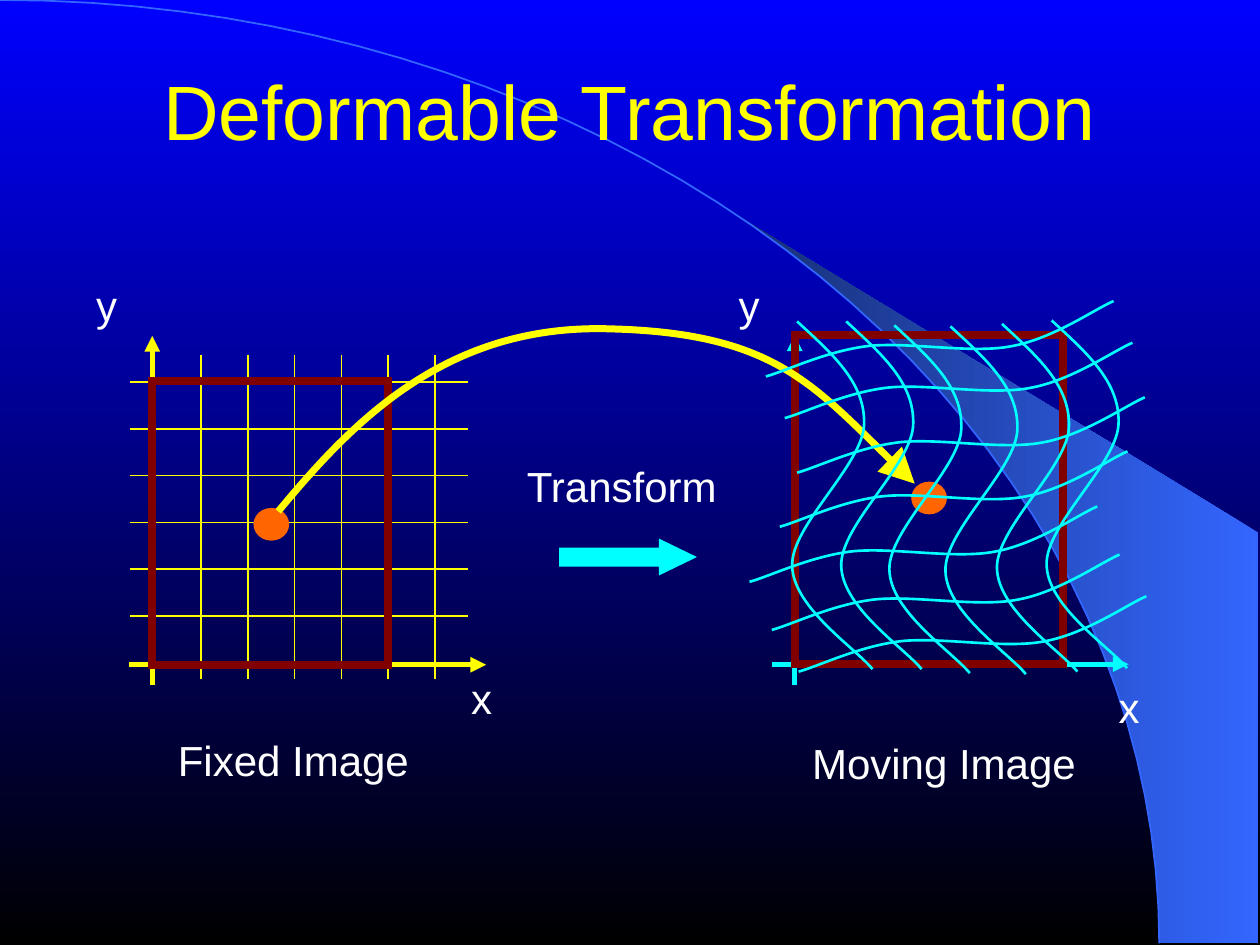
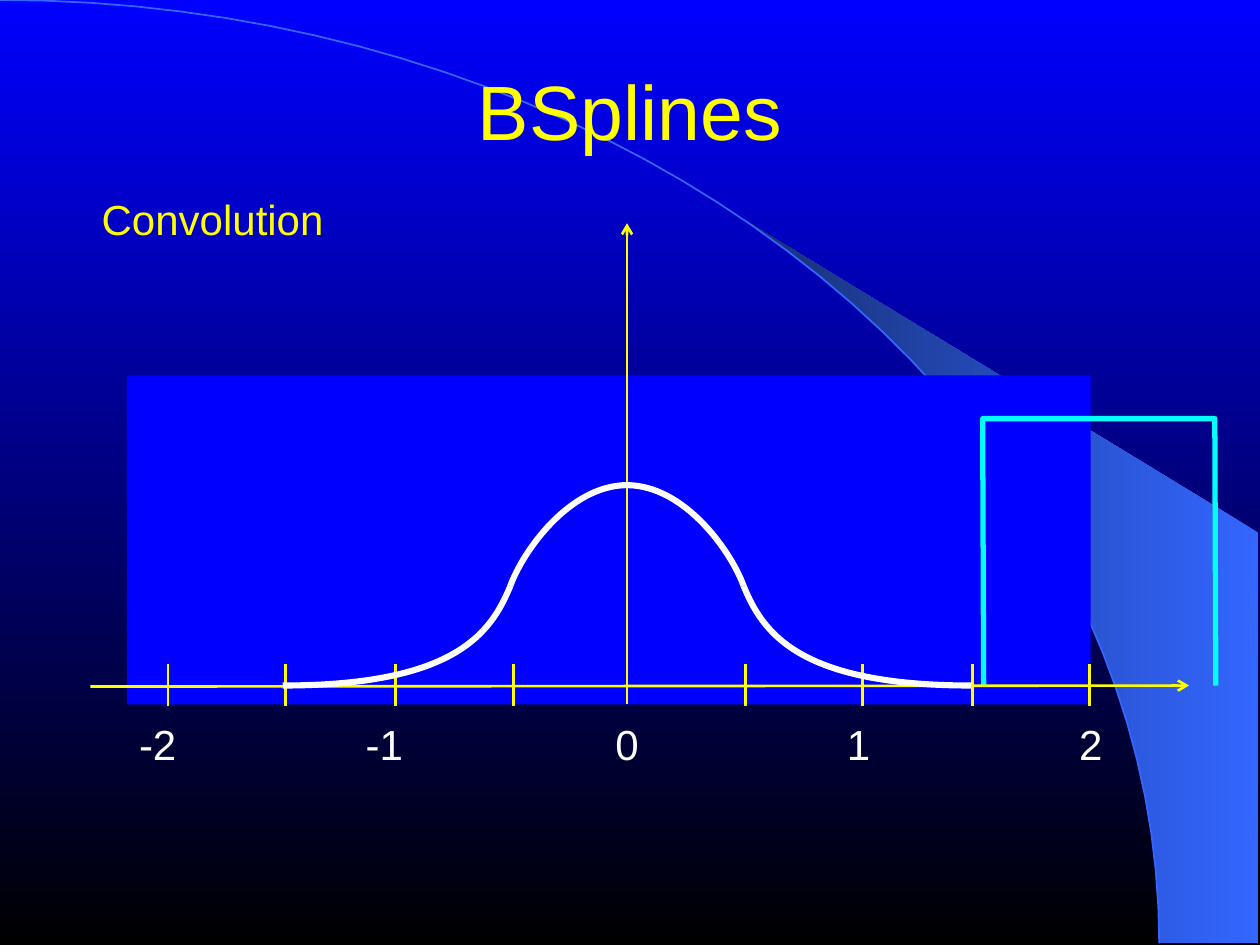
from math import asin, cos, pi, sin

from lxml.etree import SubElement
from pptx import Presentation
from pptx.dml.color import RGBColor
from pptx.enum.shapes import MSO_CONNECTOR, MSO_SHAPE
from pptx.enum.text import MSO_ANCHOR, MSO_AUTO_SIZE, PP_ALIGN
from pptx.oxml.ns import qn
from pptx.util import Cm, Pt

# Shared colours and formats
YELLOW, CYAN, WHITE = "FFFF00", "00FFFF", "FFFFFF"
BLUE, BLACK, MAROON, ORANGE = "0000FF", "000000", "800000", "FF6600"
SWOOSH_LIGHT, SWOOSH_DARK = "3366FF", "172F75"
TITLE_BOX = {"left": Cm(1.9), "top": Cm(0.3), "width": Cm(21.6), "height": Cm(3.84)}
NO_MARGINS = {"margin_left": 0, "margin_right": 0, "margin_top": 0, "margin_bottom": 0}
TITLE_FRAME = {**NO_MARGINS, "vertical_anchor": MSO_ANCHOR.MIDDLE, "word_wrap": True}
TITLE_FONT = {"name": "Arial", "size": Pt(44)}
LABEL_FRAME = {"margin_left": Cm(0.25), "margin_right": Cm(0.25),
               "margin_top": Cm(0.13), "margin_bottom": Cm(0.13)}
LABEL_PARAGRAPH = {"alignment": PP_ALIGN.CENTER, "line_spacing": 0.8,
                   "space_before": Pt(15)}
LABEL_FONT = {"name": "Arial", "size": Pt(24)}


def color(hex_string):
    return RGBColor.from_string(hex_string)


def set_attributes(target, values):
    for name, value in values.items():
        setattr(target, name, value)


def fill_gradient(fill, stops, angle):
    fill.gradient()
    fill.gradient_angle = angle
    for stop, stop_color in zip(fill.gradient_stops, stops):
        stop.color.rgb = color(stop_color)


def format_shape(shape, fill=None, line=None, width=1):
    shape.shadow.inherit = False
    if fill:
        shape.fill.solid()
        shape.fill.fore_color.rgb = color(fill)
    else:
        shape.fill.background()
    if line:
        shape.line.color.rgb = color(line)
        shape.line.width = Pt(width)
    else:
        shape.line.fill.background()


def extend_outline(shape, tag, **attributes):
    SubElement(shape.element.spPr.find(qn("a:ln")), qn(tag), **attributes)


def add_preset(slide, preset, box, **style):
    shape = slide.shapes.add_shape(preset, *map(Cm, box))
    format_shape(shape, **style)
    extend_outline(shape, "a:miter", lim="800000")
    return shape


def add_line(slide, origin, start, end, line, width, arrow=None):
    x, y = origin
    connector = slide.shapes.add_connector(
        MSO_CONNECTOR.STRAIGHT, Cm(x + start[0]), Cm(y + start[1]),
        Cm(x + end[0]), Cm(y + end[1]))
    connector.line.color.rgb = color(line)
    connector.line.width = Pt(width)
    if arrow:
        extend_outline(connector, "a:tailEnd", type=arrow)
    SubElement(connector.element.spPr, qn("a:effectLst"))


def add_outline(slide, origin, points, closed=False, **style):
    first, *rest = [(Cm(origin[0] + x), Cm(origin[1] + y)) for x, y in points]
    builder = slide.shapes.build_freeform(*first)
    builder.add_line_segments(rest, close=closed)
    shape = builder.convert_to_shape()
    format_shape(shape, **style)
    return shape


def add_curve(slide, origin, points, **style):
    """Draw a start point followed by triples of Bezier points."""
    shape = add_outline(slide, origin, points, **style)
    segments = shape.element.xpath(".//a:lnTo")
    outline = segments[0].getparent()
    for index in range(0, len(segments), 3):
        bezier = SubElement(outline, qn("a:cubicBezTo"))
        for segment in segments[index:index + 3]:
            bezier.append(segment[0])
            outline.remove(segment)
    return shape


def add_label(slide, text, box, text_color=WHITE, wrap=True, margins=LABEL_FRAME):
    frame = slide.shapes.add_textbox(*map(Cm, box)).text_frame
    set_attributes(frame, {**margins, "word_wrap": wrap,
                           "auto_size": MSO_AUTO_SIZE.SHAPE_TO_FIT_TEXT})
    paragraph = frame.paragraphs[0]
    set_attributes(paragraph, LABEL_PARAGRAPH)
    run = paragraph.add_run()
    run.text = text
    set_attributes(run.font, LABEL_FONT)
    run.font.color.rgb = color(text_color)


# Master decoration: gradient, swoosh and elliptical arc
def decorate_master(presentation, slide):
    master = presentation.slide_master
    fill_gradient(master.background.fill, (BLUE, BLACK), 270)
    radius_x, radius_y = 23.37, 19.02
    center = (0, radius_y)

    def arc(start, steps=40):
        angles = [start + (pi / 2 - start) * step / steps for step in range(steps + 1)]
        return [(radius_x * sin(angle), -radius_y * cos(angle)) for angle in angles]

    tangent_x, right, corner_y = 14.96, 25.37, -8.28
    swoosh = add_outline(slide, center,
                         arc(asin(tangent_x / radius_x)) + [(right, 0), (right, corner_y)],
                         closed=True)
    fill_gradient(swoosh.fill, (SWOOSH_LIGHT, SWOOSH_DARK), 180)
    edge = add_outline(slide, center, arc(0), line=SWOOSH_LIGHT, width=1)
    for index, shape in enumerate((swoosh, edge)):
        shape.element.nvSpPr.cNvPr.set("id", str(101 + index))
        master.shapes.element.insert(2 + index, shape.element)


def add_titled_slide(presentation, title):
    slide = presentation.slides.add_slide(presentation.slide_layouts[5])
    placeholder = slide.shapes.title
    set_attributes(placeholder, TITLE_BOX)
    set_attributes(placeholder.text_frame, TITLE_FRAME)
    paragraph = placeholder.text_frame.paragraphs[0]
    paragraph.alignment = PP_ALIGN.CENTER
    run = paragraph.add_run()
    run.text = title
    set_attributes(run.font, TITLE_FONT)
    run.font.color.rgb = color(YELLOW)
    return slide


# Axes, frame and labels of one image space
def add_image_space(slide, origin, line, frame_size, x_label, caption, caption_box):
    x, y = origin
    width, height = frame_size
    add_line(slide, origin, (0, 0.41), (0, -6.63), line, 3, "triangle")
    add_line(slide, origin, (-0.46, 0), (6.73, 0), line, 3, "triangle")
    add_preset(slide, MSO_SHAPE.RECTANGLE, (x, y - height, width, height),
               line=MAROON, width=4.5)
    add_label(slide, "y", (x - 1.39, y - 7.69, 0.94, 1.07))
    add_label(slide, "x", (x + x_label[0], y + x_label[1], 0.91, 1.07), wrap=False)
    top, caption_width = caption_box
    add_label(slide, caption, (x, y + top, caption_width, 1.07))


def add_regular_grid(slide, origin, cells=6):
    first, last = 0.98, 5.7
    for index in range(cells):
        offset = first + index * (last - first) / (cells - 1)
        add_line(slide, origin, (-0.45, -offset), (6.36, -offset), YELLOW, 1)
        add_line(slide, origin, (offset, -6.25), (offset, 0.29), YELLOW, 1)


def add_deformed_grid(slide, origin):
    column = [(0, 0), (0.69, 0.64), (1.37, 1.22), (1.35, 2.06), (1.35, 2.87),
              (-0.13, 4.11), (-0.1, 4.93), (-0.08, 5.77), (1.17, 6.58), (1.52, 7.01)]
    row = [(0, 0), (-0.36, 0.15), (-1.22, 0.76), (-2.06, 0.91), (-2.87, 1.07),
           (-4.17, 0.81), (-4.98, 0.91), (-5.82, 1.02), (-6.58, 1.4), (-7.01, 1.52)]
    column_starts = [(0.05, -6.91), (1.04, -6.91), (2.01, -6.83),
                     (3.14, -6.81), (4.18, -6.86), (5.18, -6.93)]
    row_starts = [(7.09, -1.37), (6.55, -2.21), (6.1, -3.18), (6.71, -4.29),
                  (7.06, -5.38), (6.81, -6.48), (6.43, -7.32)]
    for wave, starts in ((column, column_starts), (row, row_starts)):
        for x, y in starts:
            start = (origin[0] + x, origin[1] + y)
            add_curve(slide, start, wave, line=CYAN, width=1.5)


# Mapping of a point between both images
def add_transform(slide, origin):
    x, y = origin
    add_label(slide, "Transform", (x + 5.29, y + 2.98, 4.29, 0.81), margins=NO_MARGINS)
    arrow = add_preset(slide, MSO_SHAPE.RIGHT_ARROW, (x + 6.2, y + 4.4, 2.69, 0.66),
                       fill=CYAN, line=CYAN, width=1.5)
    arrow.adjustments[0], arrow.adjustments[1] = 0.5, 1.03
    for dot_x, dot_y in ((0.01, 3.74), (13.27, 3.21)):
        add_preset(slide, MSO_SHAPE.OVAL, (x + dot_x, y + dot_y, 0.72, 0.66), fill=ORANGE)
    mapping = add_curve(slide, origin, [
        (0.51, 3.81), (2.04, 1.96), (3.92, 0.03), (7.19, 0.13),
        (10.44, 0.21), (11.44, 1.4), (13.34, 3.25)], line=YELLOW, width=4)
    extend_outline(mapping, "a:tailEnd", type="triangle", w="lg", len="lg")


def fill_deformable_slide(slide):
    fixed, moving = (3.07, 13.4), (16.02, 13.39)
    add_regular_grid(slide, fixed)
    add_image_space(slide, fixed, YELLOW, (4.75, 5.71), (6.18, 0.23),
                    "Fixed Image", (1.48, 5.69))
    add_image_space(slide, moving, CYAN, (5.41, 6.63), (6.28, 0.41),
                    "Moving Image", (1.55, 6.02))
    add_transform(slide, (5.1, 6.5))
    add_deformed_grid(slide, moving)


# Spline kernel and box function around the plot origin
def add_plot_axes(slide, origin):
    add_line(slide, origin, (-10.82, 0.02), (11.33, 0), YELLOW, 1.5, "arrow")
    add_line(slide, origin, (0, 0.38), (0, -9.32), YELLOW, 1.5, "arrow")
    for tick in (-9.25, -6.88, -4.67, -2.29, 2.39, 4.75, 6.96, 9.32):
        add_line(slide, origin, (tick, 0.41), (tick, -0.43), YELLOW, 1.5)
    centers = {"-2": -9.46, "-1": -4.89, "0": 0, "1": 4.67, "2": 9.35}
    for text, center in centers.items():
        width = 0.97 if len(text) == 1 else 1.3
        add_label(slide, text, (origin[0] + center - width / 2, origin[1] + 0.74,
                                width, 1.07), wrap=False)


def add_kernel(slide, origin):
    style = {"line": WHITE, "width": 3.5}
    shoulder = [(2.35, -2.01), (2.11, -2.68), (1.18, -4.03)]
    left_shoulder = [(-x, y) for x, y in shoulder]
    add_curve(slide, origin, left_shoulder + [(0, -4.04)] + shoulder[::-1], **style)
    for side in (1, -1):
        tail = [(2.35, -2.01), (2.73, -1.09), (3.42, 0), (6.94, 0)]
        add_curve(slide, origin, [(side * x, y) for x, y in tail], **style)


def fill_spline_slide(slide):
    origin = x, y = (12.64, 13.82)
    add_preset(slide, MSO_SHAPE.RECTANGLE, (x - 10.08, y - 6.25, 19.43, 6.63), fill=BLUE)
    add_outline(slide, origin, [(7.19, 0), (7.17, -5.38), (11.85, -5.38), (11.87, 0)],
                line=CYAN, width=3)
    add_plot_axes(slide, origin)
    add_label(slide, "Convolution", (x - 11.2, y - 9.86, 5.69, 1.07), YELLOW)
    add_kernel(slide, origin)


def main():
    presentation = Presentation()
    presentation.slide_width, presentation.slide_height = Cm(25.4), Cm(19.05)
    deformable = add_titled_slide(presentation, "Deformable Transformation")
    decorate_master(presentation, deformable)
    fill_deformable_slide(deformable)
    fill_spline_slide(add_titled_slide(presentation, "BSplines"))
    presentation.save("out.pptx")


if __name__ == "__main__":
    main()
